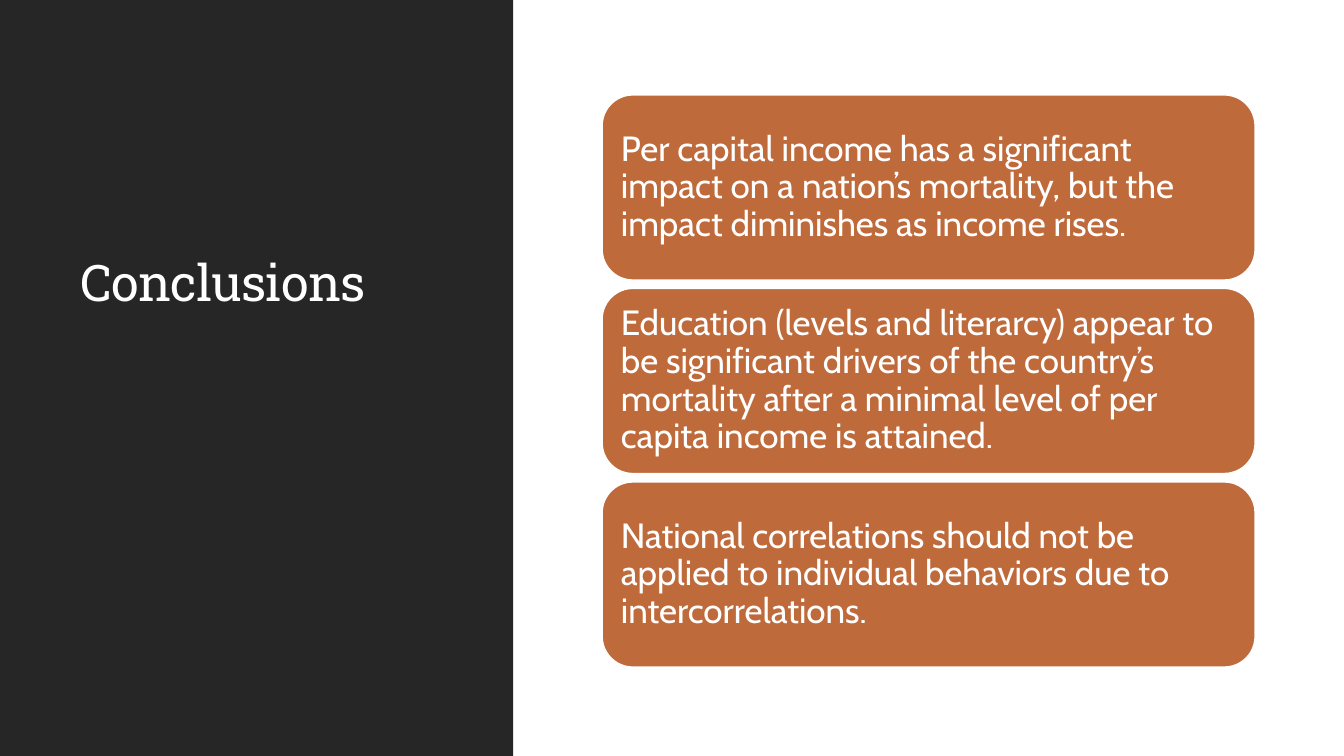
from pptx import Presentation
from pptx.dml.color import RGBColor
from pptx.enum.shapes import MSO_SHAPE
from pptx.enum.text import MSO_ANCHOR, MSO_AUTO_SIZE, PP_ALIGN
from pptx.util import Inches, Pt

WHITE = "FFFFFF"
CHARCOAL = "262626"
RUST = "BF6A3B"

CONCLUSIONS = [
    "Per capital income has a significant impact on a nation’s mortality, "
    "but the impact diminishes as income rises.",
    "Education (levels and literarcy) appear to be significant drivers of the "
    "country’s mortality after a minimal level of per capita income is attained.",
    "National correlations should not be applied to individual behaviors "
    "due to intercorrelations.",
]
CARD_LEFT, CARD_TOP = 5.97, 0.94
CARD_WIDTH, CARD_HEIGHT = 6.48, 1.84
CARD_PITCH = 1.92


def color(hex_string):
    return RGBColor.from_string(hex_string)


def write(shape, text, font, size, anchor):
    """Fill the shape with one left-aligned white run and return the run."""
    frame = shape.text_frame
    frame.word_wrap = True
    frame.auto_size = MSO_AUTO_SIZE.NONE
    frame.vertical_anchor = anchor
    paragraph = frame.paragraphs[0]
    paragraph.alignment = PP_ALIGN.LEFT
    paragraph.line_spacing = 0.9
    run = paragraph.add_run()
    run.text = text
    run.font.name = font
    run.font.size = Pt(size)
    run.font.color.rgb = color(WHITE)
    return run


def add_block(slide, preset, left, top, width, height, fill):
    block = slide.shapes.add_shape(
        preset, Inches(left), Inches(top), Inches(width), Inches(height))
    block.shadow.inherit = False
    block.fill.solid()
    block.fill.fore_color.rgb = color(fill)
    block.line.fill.background()
    return block


def add_side_panel(slide):
    panel = add_block(slide, MSO_SHAPE.RECTANGLE, 0, 0, 5.09, 7.5, CHARCOAL)
    # Behind the title, which stands on the panel
    slide.shapes.title.element.addprevious(panel.element)


def set_title(slide, text):
    title = slide.shapes.title
    title.left, title.top = Inches(0.7), Inches(0.86)
    title.width, title.height = Inches(3.85), Inches(2.29)
    run = write(title, text, "Roboto Slab", 36, MSO_ANCHOR.BOTTOM)
    run.font._element.set("spc", "-50")


def add_card(slide, top, text):
    card = add_block(slide, MSO_SHAPE.ROUNDED_RECTANGLE,
                     CARD_LEFT, top, CARD_WIDTH, CARD_HEIGHT, RUST)
    card.line.color.rgb = color(WHITE)
    card.line.width = Pt(1.25)
    frame = card.text_frame
    frame.margin_left = frame.margin_right = Inches(0.1)
    frame.margin_top = frame.margin_bottom = Inches(0.1)
    write(card, text, "Cabin", 25, MSO_ANCHOR.MIDDLE)


def main():
    presentation = Presentation()
    presentation.slide_width = Inches(13.33)
    presentation.slide_height = Inches(7.5)
    title_only = presentation.slide_layouts[5]
    slide = presentation.slides.add_slide(title_only)

    add_side_panel(slide)
    set_title(slide, "Conclusions")
    for row, conclusion in enumerate(CONCLUSIONS):
        add_card(slide, CARD_TOP + row * CARD_PITCH, conclusion)

    presentation.save("out.pptx")


if __name__ == "__main__":
    main()
